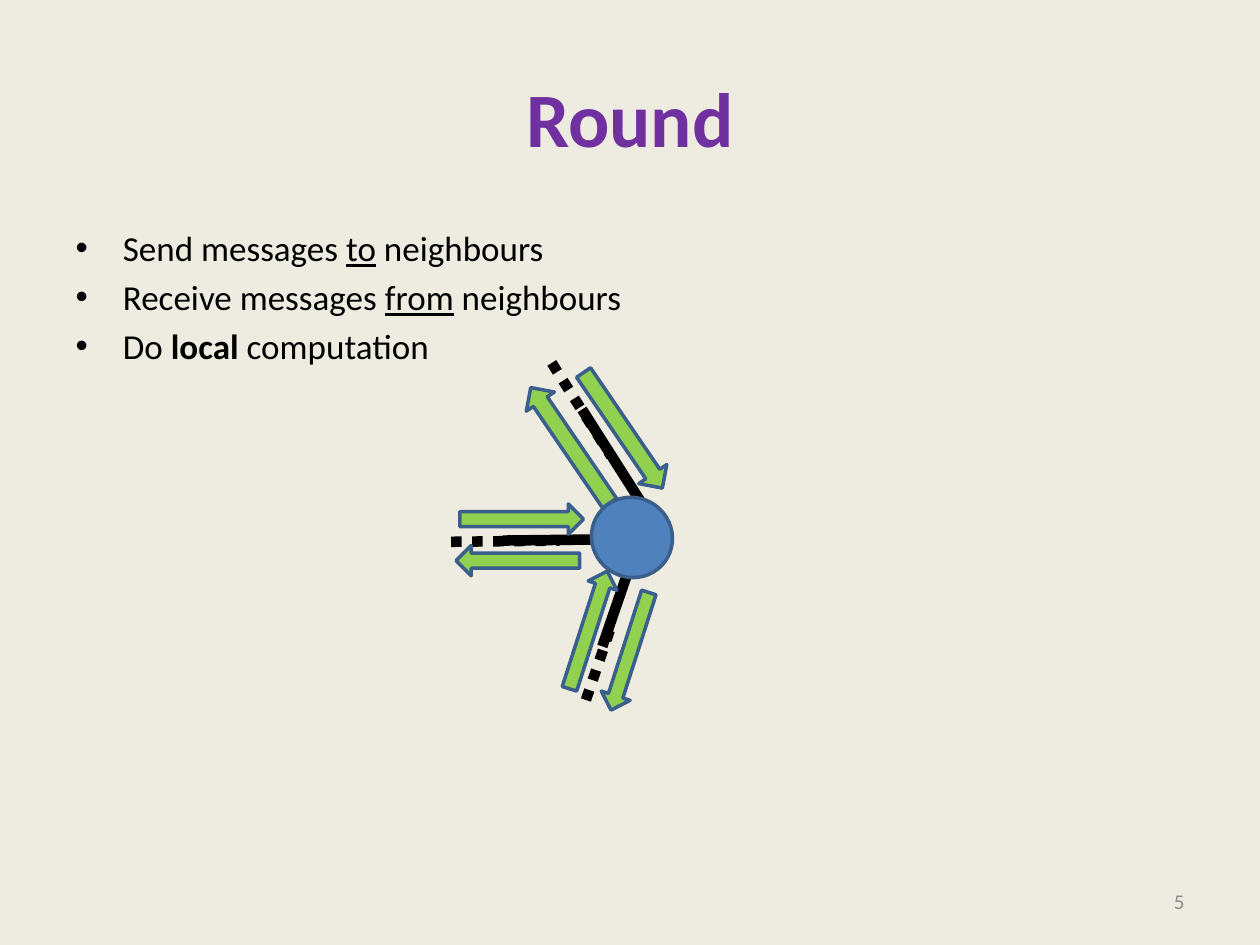
import dataclasses

import pptx
import pptx.dml.color
import pptx.enum.dml
import pptx.enum.shapes
import pptx.enum.text
import pptx.oxml.ns
import pptx.util

Pt = pptx.util.Pt
Shape = pptx.enum.shapes.MSO_SHAPE
Align = pptx.enum.text.PP_ALIGN
Anchor = pptx.enum.text.MSO_ANCHOR


def rgb(value):
    return pptx.dml.color.RGBColor.from_string(value)


@dataclasses.dataclass(frozen=True)
class Theme:
    font: str = "Calibri"
    background: str = "EEECE1"
    title: str = "7030A0"
    ink: str = "000000"
    muted: str = "8C8C8C"
    node: str = "4F81BD"
    message: str = "92D050"
    outline: str = "3A5F8C"
    title_size: int = 44
    body_size: int = 20
    number_size: int = 12
    edge_width: int = 6
    outline_width: int = 2


@dataclasses.dataclass(frozen=True)
class Box:
    left: float
    top: float
    width: float
    height: float


@dataclasses.dataclass(frozen=True)
class Edge:
    """A link to a neighbour; points are relative to the diagram box."""
    far: tuple
    near: tuple
    dotted_shift: tuple
    incoming: tuple
    outgoing: tuple
    arrow_size: tuple
    angle: float


THEME = Theme()

STEPS = [
    [("Send messages ", ""), ("to", "underline"), (" neighbours", "")],
    [("Receive messages ", ""), ("from", "underline"), (" neighbours", "")],
    [("Do ", ""), ("local ", "bold"), ("computation", "")],
]

EDGES = [
    Edge((74.6, 28), (108.5, 81.3), (-17.3, -26.6),
         (98, 39.9), (67.8, 48.5), (19.4, 79.9), 325.7),
    Edge((29.3, 102.9), (91.2, 102.2), (-29.5, 0.7),
         (40.1, 90.6), (37.9, 114.4), (17.3, 70.6), 270),
    Edge((86.2, 163.4), (101.3, 119.4), (-9.4, 30.6),
         (78.2, 154), (102, 166.2), (17.3, 70.6), 197.8),
]


def place(shape, box):
    shape.left, shape.top = Pt(box.left), Pt(box.top)
    shape.width, shape.height = Pt(box.width), Pt(box.height)


def set_font(para, size, color, bold=False):
    para.font.name = THEME.font
    para.font.size = Pt(size)
    para.font.color.rgb = rgb(color)
    para.font.bold = bold


def add_title(page, box, text):
    title = page.shapes.title
    place(title, box)
    title.text_frame.vertical_anchor = Anchor.MIDDLE
    para = title.text_frame.paragraphs[0]
    para.text = text
    para.alignment = Align.CENTER
    set_font(para, THEME.title_size, THEME.title, bold=True)


def add_steps(page, box, steps):
    body = page.placeholders[1]
    place(body, box)
    frame = body.text_frame
    for index, spans in enumerate(steps):
        para = frame.add_paragraph() if index else frame.paragraphs[0]
        para.space_before = Pt(4 if index else 0)
        set_font(para, THEME.body_size, THEME.ink)
        for text, emphasis in spans:
            span = para.add_run()
            span.text = text
            if emphasis:
                setattr(span.font, emphasis, True)


def add_page_number(page, box, number):
    label = page.shapes.add_textbox(
        Pt(box.left), Pt(box.top), Pt(box.width), Pt(box.height))
    frame = label.text_frame
    frame.word_wrap = True
    frame.vertical_anchor = Anchor.MIDDLE
    para = frame.paragraphs[0]
    para.text = str(number)
    para.alignment = Align.RIGHT
    set_font(para, THEME.number_size, THEME.muted)


def add_link(page, box, start, end, dotted=False):
    link = page.shapes.add_connector(
        pptx.enum.shapes.MSO_CONNECTOR.STRAIGHT,
        Pt(box.left + start[0]), Pt(box.top + start[1]),
        Pt(box.left + end[0]), Pt(box.top + end[1]))
    link.line.color.rgb = rgb(THEME.ink)
    link.line.width = Pt(THEME.edge_width)
    if dotted:
        link.line.dash_style = pptx.enum.dml.MSO_LINE.ROUND_DOT
        dash = link.line._ln.find(pptx.oxml.ns.qn("a:prstDash"))
        dash.set("val", "sysDot")
    properties = link._element.spPr
    properties.append(properties.makeelement(pptx.oxml.ns.qn("a:effectLst")))


def add_outlined(page, box, kind, center, size, angle, fill):
    width, height = size
    shape = page.shapes.add_shape(
        kind, Pt(box.left + center[0] - width / 2),
        Pt(box.top + center[1] - height / 2), Pt(width), Pt(height))
    shape.rotation = angle
    shape.shadow.inherit = False
    shape.fill.solid()
    shape.fill.fore_color.rgb = rgb(fill)
    shape.line.color.rgb = rgb(THEME.outline)
    shape.line.width = Pt(THEME.outline_width)


def add_message_diagram(page, box, edges):
    for edge in edges:
        add_link(page, box, edge.far, edge.near)
    for edge in edges:
        start, end = (
            (point[0] + edge.dotted_shift[0], point[1] + edge.dotted_shift[1])
            for point in (edge.far, edge.near))
        add_link(page, box, start, end, dotted=True)
    for edge in edges:
        add_outlined(page, box, Shape.DOWN_ARROW, edge.incoming,
                     edge.arrow_size, edge.angle, THEME.message)
    for edge in edges:
        add_outlined(page, box, Shape.DOWN_ARROW, edge.outgoing,
                     edge.arrow_size, (edge.angle + 180) % 360, THEME.message)
    add_outlined(page, box, Shape.OVAL, (103.1, 101.1), (46.8, 45.4),
                 36.3, THEME.node)


def main():
    deck = pptx.Presentation()
    deck.slide_width, deck.slide_height = Pt(720), Pt(540)
    page = deck.slides.add_slide(deck.slide_layouts[1])
    page.background.fill.solid()
    page.background.fill.fore_color.rgb = rgb(THEME.background)
    add_title(page, Box(36, 21.6, 648, 90), "Round")
    add_steps(page, Box(36, 126, 648, 356.4), STEPS)
    add_page_number(page, Box(516, 500.4, 168, 28.8), 5)
    add_message_diagram(page, Box(258, 206, 127, 195), EDGES)
    deck.save("out.pptx")


if __name__ == "__main__":
    main()
